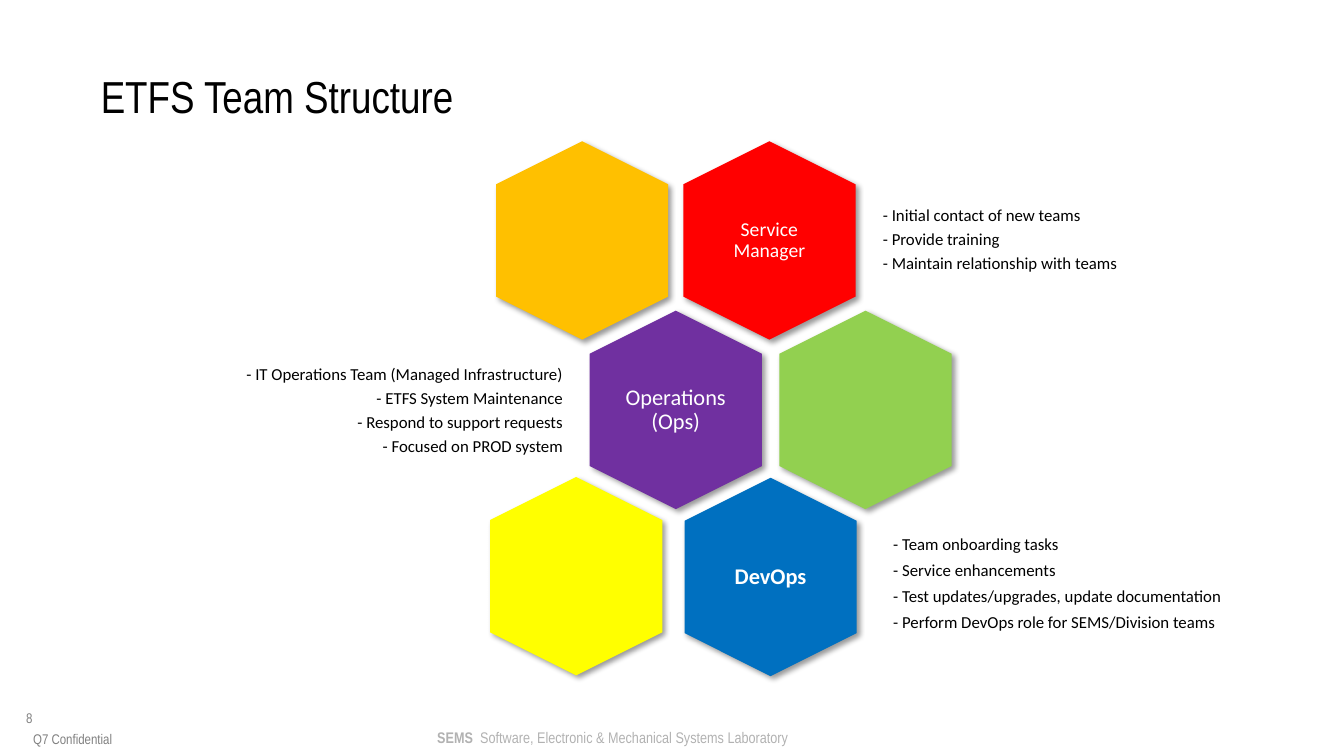
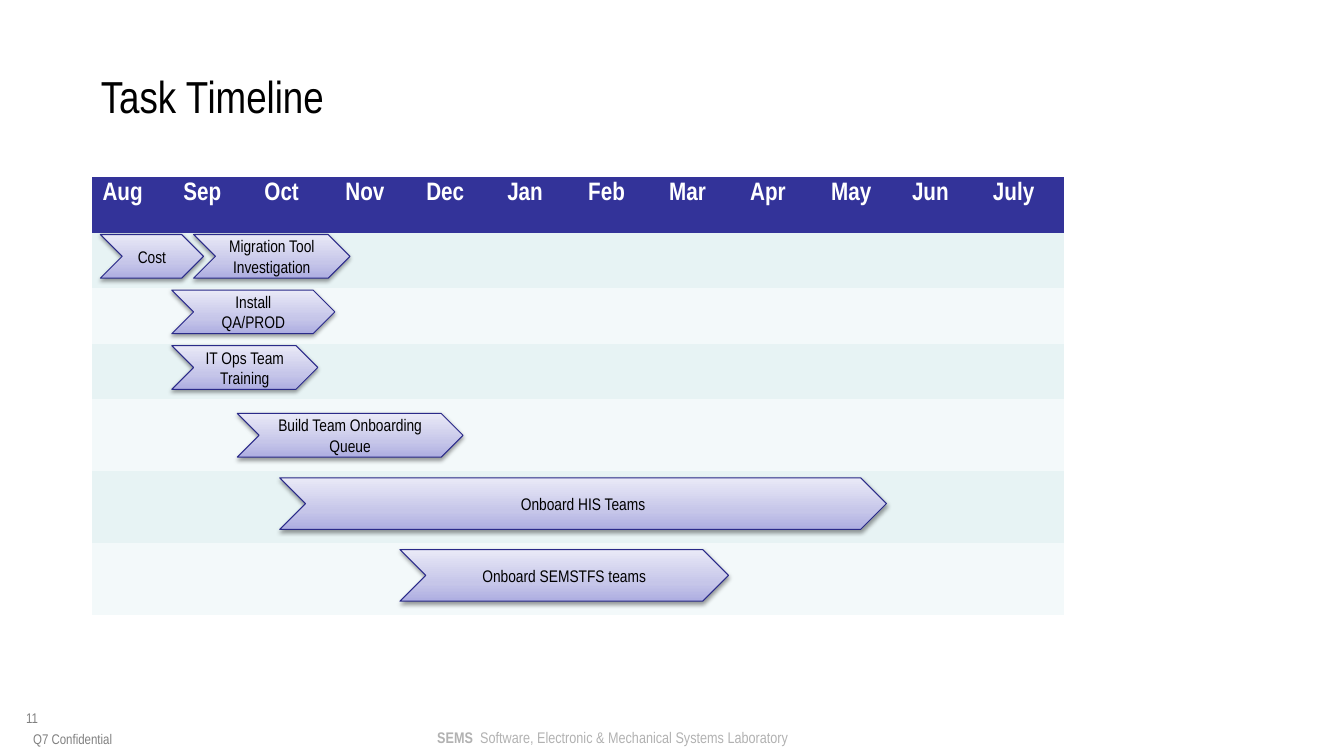
from copy import deepcopy

from lxml import etree
from pptx import Presentation, util as u
from pptx.dml.color import RGBColor
from pptx.enum import shapes, text
from pptx.oxml.ns import qn

HEADING_FONT, BODY_FONT = "Arial Narrow", "Calibri"
BLACK = RGBColor(0x00, 0x00, 0x00)
WHITE = RGBColor(0xFF, 0xFF, 0xFF)
GREY = RGBColor(0x80, 0x80, 0x80)
LIGHT_GREY = RGBColor(0xB2, 0xB2, 0xB2)
RED = RGBColor(0xFF, 0x00, 0x00)
AMBER = RGBColor(0xFF, 0xC0, 0x00)
PURPLE = RGBColor(0x70, 0x30, 0xA0)
GREEN = RGBColor(0x92, 0xD0, 0x50)
BLUE = RGBColor(0x00, 0x70, 0xC0)
YELLOW = RGBColor(0xFF, 0xFF, 0x00)
NAVY = RGBColor(0x33, 0x33, 0x99)
DARK_NAVY = RGBColor(0x2A, 0x2A, 0x89)
BANDS = [RGBColor(0xE7, 0xF3, 0xF4), RGBColor(0xF3, 0xF9, 0xFA)]
TASK_GRADIENT = [
    (0, RGBColor(0xAD, 0xAD, 0xE1)),
    (0.35, RGBColor(0xC6, 0xC6, 0xE9)),
    (1, RGBColor(0xE9, 0xE9, 0xF7)),
]
PLAIN_TABLE_STYLE = "{2D5ABB26-0587-4C30-8999-92F81FD0307C}"

LEFT, CENTER, RIGHT = text.PP_ALIGN.LEFT, text.PP_ALIGN.CENTER, text.PP_ALIGN.RIGHT
TOP, MIDDLE, BOTTOM = text.MSO_ANCHOR.TOP, text.MSO_ANCHOR.MIDDLE, text.MSO_ANCHOR.BOTTOM

HEXAGON_LONG, HEXAGON_SHORT = 5, 4.34
LABEL_SIZE = (3, 3.43)

# Centre x, centre y (cm from the comb's corner), fill, label, label size, bold
HEXAGONS = [
    (7.37, 2.5, RED, "Service Manager", 14, False),
    (2.65, 2.5, AMBER, "", 14, False),
    (5.01, 6.77, PURPLE, "Operations (Ops)", 16, False),
    (9.79, 6.77, GREEN, "", 14, False),
    (7.4, 10.98, BLUE, "DevOps", 16, True),
    (2.5, 10.96, YELLOW, "", 14, False),
]
# Box (cm from the comb's corner), alignment, line spacing, lines
NOTES = [
    ((10.1, 0.99, 8.9, 3), LEFT, 0.9, [
        "- Initial contact of new teams",
        "- Provide training",
        "- Maintain relationship with teams"]),
    ((-6.36, 5.3, 8.66, 3), RIGHT, 0.9, [
        "- IT Operations Team (Managed Infrastructure)",
        "- ETFS System Maintenance",
        "- Respond to support requests",
        "- Focused on PROD system"]),
    ((10.36, 9.65, 8.64, 2.95), LEFT, 1, [
        "- Team onboarding tasks",
        "- Service enhancements",
        "- Test updates/upgrades, update documentation",
        "- Perform DevOps role for SEMS/Division teams"]),
]

MONTHS = ["Aug", "Sep", "Oct", "Nov", "Dec", "Jan",
          "Feb", "Mar", "Apr", "May", "Jun", "July"]
ROW_HEIGHTS = [1.4] * 4 + [1.81] * 3
# Row, start, offset in row, width, height (cm), name
TASKS = [
    (1, 0.2, 0.05, 2.6, 1.1, "Cost"),
    (2, 2, 0.05, 4.11, 1.1, "Install QA/PROD"),
    (3, 2, 0.05, 3.68, 1.1, "IT Ops Team Training"),
    (4, 3.65, 0.36, 5.69, 1.1, "Build Team Onboarding Queue"),
    (5, 4.72, 0.17, 15.29, 1.3, "Onboard HIS Teams"),
    (6, 7.75, 0.17, 8.28, 1.3, "Onboard SEMSTFS teams"),
    (1, 2.55, 0.05, 3.94, 1.1, "Migration Tool Investigation"),
]


def cm_box(*lengths):
    """Turn numbers in centimetres into lengths."""
    return [u.Cm(length) for length in lengths]


def style_run(run, size, color, font=HEADING_FONT, bold=False):
    """Set a run's font."""
    run.font.name = font
    run.font.size = u.Pt(size)
    run.font.color.rgb = color
    run.font.bold = bold


def add_text(slide, box, lines, size, color, font=HEADING_FONT, bold=False,
             align=LEFT, anchor=TOP, inset=0, spacing=1, after=0, wrap=True):
    """Add a text box with one paragraph for each line."""
    text_frame = slide.shapes.add_textbox(*cm_box(*box)).text_frame
    text_frame.word_wrap = wrap
    text_frame.vertical_anchor = anchor
    text_frame.margin_left = text_frame.margin_right = u.Cm(inset)
    text_frame.margin_top = text_frame.margin_bottom = u.Cm(inset)
    text_frame.text = "\n".join(lines)
    for paragraph in text_frame.paragraphs:
        paragraph.alignment = align
        paragraph.line_spacing = spacing
        paragraph.space_after = u.Pt(after)
        style_run(paragraph.runs[0], size, color, font, bold)
    return text_frame


def add_shadow(shape, opacity, blur, distance, angle):
    """Give a shape a black outer shadow; lengths are points."""
    shape.shadow.inherit = False
    effects = shape._element.spPr.find(qn("a:effectLst"))
    shadow = etree.SubElement(
        effects, qn("a:outerShdw"), blurRad=str(u.Pt(blur)),
        dist=str(u.Pt(distance)), dir=str(angle * 60000), rotWithShape="0")
    color = etree.SubElement(shadow, qn("a:srgbClr"), val="000000")
    etree.SubElement(color, qn("a:alpha"), val=str(opacity * 1000))


def add_slide(presentation, title, number):
    """Add a blank slide with the shared title and footers."""
    slide = presentation.slides.add_slide(presentation.slide_layouts[6])
    add_text(slide, (0.66, 17.88, 1.8, 0.64), [number], 10, GREY)
    laboratory = add_text(slide, (11.02, 18.36, 8.89, 0.48), ["SEMS"], 11,
                          LIGHT_GREY, bold=True, wrap=False)
    run = laboratory.paragraphs[0].add_run()
    run.text = "  Software, Electronic & Mechanical Systems Laboratory"
    style_run(run, 11, LIGHT_GREY)
    add_text(slide, (0.28, 18.26, 3.1, 0.56), ["Q7 Confidential"], 10, GREY,
             align=CENTER, anchor=BOTTOM)
    add_text(slide, (2.54, 1.73, 30.48, 1.47), [title], 32, BLACK)
    return slide


def add_hexagon(slide, center_x, center_y, color, label, size, bold):
    """Add an upright hexagon, with a label if it has one."""
    hexagon = slide.shapes.add_shape(
        shapes.MSO_SHAPE.HEXAGON,
        *cm_box(center_x - HEXAGON_LONG / 2, center_y - HEXAGON_SHORT / 2,
                HEXAGON_LONG, HEXAGON_SHORT))
    hexagon.rotation = 90
    hexagon.adjustments[0] = 0.25
    hexagon.fill.solid()
    hexagon.fill.fore_color.rgb = color
    hexagon.line.fill.background()
    add_shadow(hexagon, 40, 4, 3, 45)
    if label:
        width, height = LABEL_SIZE
        box = (center_x - width / 2, center_y - height / 2, width, height)
        add_text(slide, box, [label], size, WHITE, BODY_FONT, bold, CENTER,
                 MIDDLE, inset=0.17, spacing=0.9, after=4)


def add_team_comb(slide, left, top):
    """Add the comb of hexagons and the notes beside it."""
    for center_x, center_y, *look in HEXAGONS:
        add_hexagon(slide, left + center_x, top + center_y, *look)
    for (x, y, width, height), align, spacing, lines in NOTES:
        add_text(slide, (left + x, top + y, width, height), lines, 12, BLACK,
                 BODY_FONT, align=align, anchor=MIDDLE, inset=0.13,
                 spacing=spacing, after=4)


def add_calendar(slide, left, top, width):
    """Add the month table with its banded rows."""
    table = slide.shapes.add_table(
        len(ROW_HEIGHTS), len(MONTHS),
        *cm_box(left, top, width, sum(ROW_HEIGHTS))).table
    table._tbl.tblPr.find(qn("a:tableStyleId")).text = PLAIN_TABLE_STYLE
    for column in table.columns:
        column.width = u.Cm(width / len(MONTHS))
    for index, (row, height) in enumerate(zip(table.rows, ROW_HEIGHTS)):
        row.height = u.Cm(height)
        for cell in row.cells:
            cell.fill.solid()
            cell.fill.fore_color.rgb = BANDS[(index - 1) % 2] if index else NAVY
    for cell, month in zip(table.rows[0].cells, MONTHS):
        cell.text = month
        style_run(cell.text_frame.paragraphs[0].runs[0], 18, WHITE, bold=True)


def add_task(slide, box, name):
    """Add a chevron for one task."""
    chevron = slide.shapes.add_shape(shapes.MSO_SHAPE.CHEVRON, *cm_box(*box))
    chevron.fill.gradient()
    chevron.fill.gradient_angle = 90
    stops = chevron._element.spPr.find(".//" + qn("a:gsLst"))
    stops.insert(1, deepcopy(stops[0]))
    for stop, (position, color) in zip(chevron.fill.gradient_stops, TASK_GRADIENT):
        stop.position = position
        stop.color.rgb = color
    chevron.line.color.rgb = DARK_NAVY
    chevron.line.width = u.Pt(0.75)
    add_shadow(chevron, 38, 3.1, 1.6, 90)
    text_frame = chevron.text_frame
    text_frame.word_wrap = True
    text_frame.vertical_anchor = MIDDLE
    text_frame.text = name
    paragraph = text_frame.paragraphs[0]
    paragraph.alignment = CENTER
    style_run(paragraph.runs[0], 12, BLACK)


def add_timeline(slide, left, top, width):
    """Add the calendar and the tasks in its rows."""
    add_calendar(slide, left, top, width)
    for row, start, offset, length, height, name in TASKS:
        row_top = top + sum(ROW_HEIGHTS[:row])
        add_task(slide, (left + start, row_top + offset, length, height), name)


def main():
    """Build and save the presentation."""
    presentation = Presentation()
    presentation.slide_width, presentation.slide_height = cm_box(33.87, 19.05)
    add_team_comb(add_slide(presentation, "ETFS Team Structure", "8"), 12.02, 3.56)
    add_timeline(add_slide(presentation, "Task Timeline", "11"), 2.33, 4.46, 24.48)
    presentation.save("out.pptx")


main()
